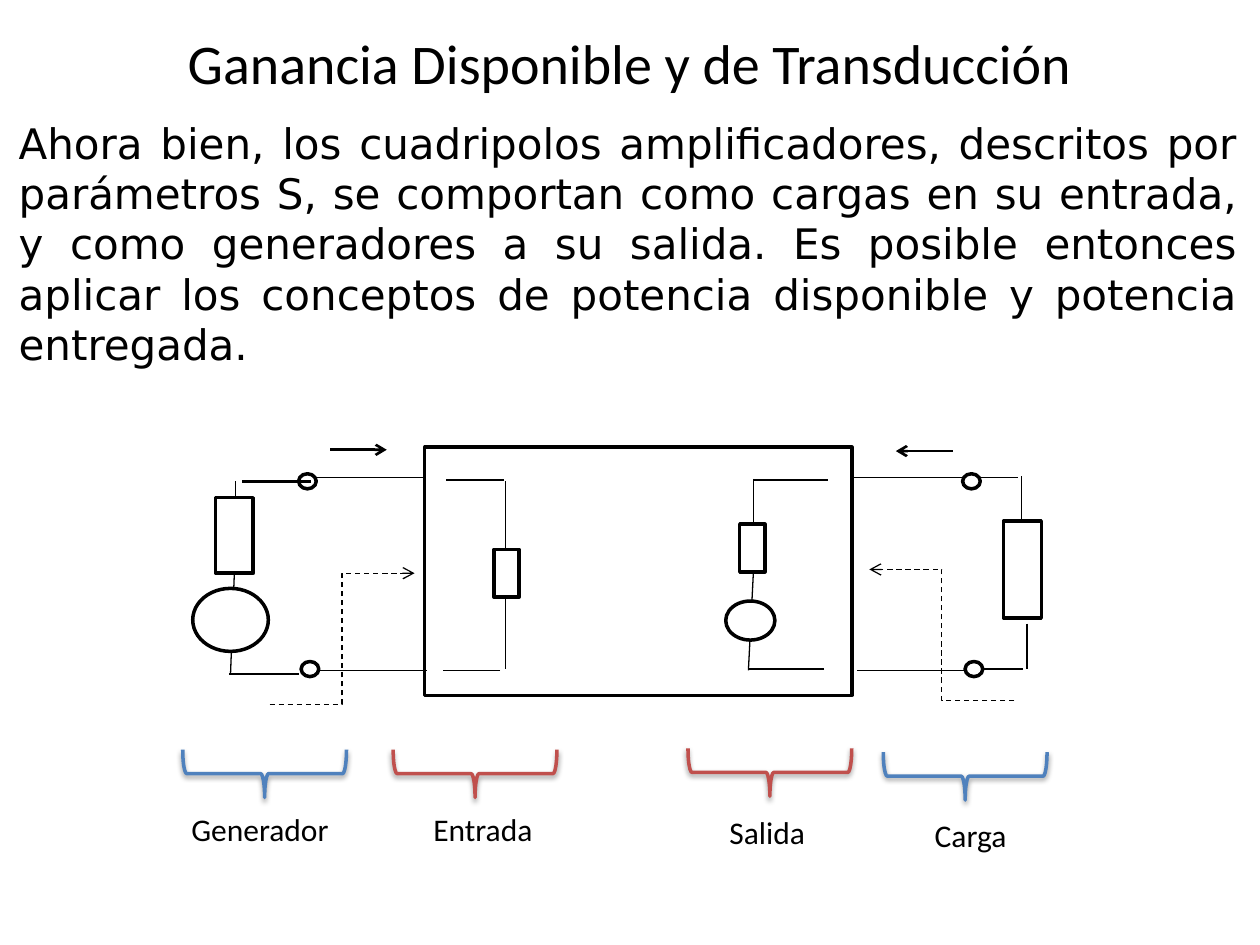
from lxml.etree import SubElement
from pptx import Presentation
from pptx.dml.color import RGBColor
from pptx.enum.dml import MSO_LINE
from pptx.enum.shapes import MSO_CONNECTOR, MSO_SHAPE
from pptx.enum.text import MSO_ANCHOR, PP_ALIGN
from pptx.oxml.ns import qn
from pptx.util import Inches, Pt

BLACK = RGBColor(0x00, 0x00, 0x00)
WHITE = RGBColor(0xFF, 0xFF, 0xFF)
BLUE = RGBColor(0x4F, 0x81, 0xBD)
RED = RGBColor(0xC0, 0x50, 0x4D)

TITLE = "Ganancia Disponible y de Transducción"
BODY = (
    "Ahora bien, los cuadripolos amplificadores, descritos por parámetros S, "
    "se comportan como cargas en su entrada, y como generadores a su salida. "
    "Es posible entonces aplicar los conceptos de potencia disponible y "
    "potencia entregada."
)

QUADRIPOLE = (3.37, 3.55, 3.39, 1.97)
WIRES = [
    (7.72, 3.79, 8.08, 3.79),
    (8.11, 3.78, 8.11, 4.14),
    (8.15, 4.95, 8.15, 5.31),
    (7.76, 5.31, 8.12, 5.31),
    (2.43, 3.79, 3.37, 3.79),
    (2.45, 5.32, 3.39, 5.32),
    (7.72, 3.79, 6.78, 3.79),
    (7.74, 5.32, 6.8, 5.32),
    (1.87, 3.82, 1.87, 4.18),
    (1.86, 4.55, 1.83, 5.34),
    (5.98, 4.53, 5.94, 5.32),
    (6.54, 5.31, 5.94, 5.31),
    (6.57, 3.81, 5.98, 3.81),
    (5.98, 3.8, 5.98, 4.16),
    (4.01, 3.82, 4.01, 5.31),
    (4, 3.81, 3.54, 3.81),
    (3.97, 5.32, 3.52, 5.32),
]
TERMINALS = [(2.37, 3.76), (2.39, 5.25), (7.64, 3.76), (7.66, 5.25)]
SOURCES = [(1.53, 4.67, 0.6, 0.5), (5.76, 4.77, 0.39, 0.31)]
IMPEDANCES = [
    (1.56, 4.1, 0.6, 0.3, 90),
    (5.78, 4.25, 0.38, 0.2, 90),
    (3.83, 4.45, 0.38, 0.2, 90),
    (7.73, 4.37, 0.77, 0.3, 270),
]
THICK_LEADS = [(2.37, 5.35, 1.82, 5.35), (2.47, 3.82, 1.92, 3.82)]
WAVE_ARROWS = [(7.56, 3.58, 7.11, 3.58), (2.62, 3.57, 3.07, 3.57)]
VIEW_ARROWS = [(2.14, 5.59, 3.29, 4.55), (8.05, 5.56, 6.9, 4.52)]
SECTIONS = [
    ("Generador", BLUE, 1.91, 5.49, 1.42, 6.38),
    ("Entrada", RED, 3.58, 5.49, 3.34, 6.38),
    ("Salida", RED, 5.92, 5.48, 5.69, 6.4),
    ("Carga", BLUE, 7.47, 5.51, 7.32, 6.43),
]


def add_text(slide, text, box, size, font="Calibri", align=PP_ALIGN.LEFT,
             anchor=MSO_ANCHOR.TOP):
    frame = slide.shapes.add_textbox(*map(Inches, box)).text_frame
    frame.word_wrap = True
    frame.vertical_anchor = anchor
    paragraph = frame.paragraphs[0]
    paragraph.alignment = align
    run = paragraph.add_run()
    run.text = text
    run.font.size = Pt(size)
    run.font.name = font
    run.font.color.rgb = BLACK


def add_part(slide, preset, box, rotation=0):
    part = slide.shapes.add_shape(preset, *map(Inches, box))
    part.shadow.inherit = False
    part.rotation = rotation
    part.fill.solid()
    part.fill.fore_color.rgb = WHITE
    part.line.color.rgb = BLACK
    part.line.width = Pt(2)
    return part


def add_wire(slide, ends, width=0.75, kind=MSO_CONNECTOR.STRAIGHT,
             dashed=False, arrow=False):
    wire = slide.shapes.add_connector(kind, *map(Inches, ends))
    wire.line.color.rgb = BLACK
    wire.line.width = Pt(width)
    if dashed:
        wire.line.dash_style = MSO_LINE.DASH
    if arrow:
        SubElement(wire.line._get_or_add_ln(), qn("a:tailEnd"), type="arrow")
    SubElement(wire._element.spPr, qn("a:effectLst"))


def add_brace(slide, left, top, color):
    brace = add_part(slide, MSO_SHAPE.RIGHT_BRACE, (left, top, 0.38, 1.3), 90)
    brace.fill.background()
    brace.line.color.rgb = color
    effects = brace._element.spPr.find(qn("a:effectLst"))
    shadow = SubElement(effects, qn("a:outerShdw"), blurRad=str(Pt(3.1)),
                        dist=str(Pt(1.6)), dir="5400000", rotWithShape="0")
    tint = SubElement(shadow, qn("a:srgbClr"), val=str(BLACK))
    SubElement(tint, qn("a:alpha"), val="38000")


def add_circuit(slide):
    add_part(slide, MSO_SHAPE.RECTANGLE, QUADRIPOLE)
    for ends in WIRES:
        add_wire(slide, ends)
    for left, top in TERMINALS:
        add_part(slide, MSO_SHAPE.OVAL, (left, top, 0.14, 0.12))
    for *box, rotation in IMPEDANCES:
        add_part(slide, MSO_SHAPE.RECTANGLE, box, rotation)
    for ends in THICK_LEADS:
        add_wire(slide, ends, width=1.5)
    for box in SOURCES:
        add_part(slide, MSO_SHAPE.OVAL, box)
    for ends in WAVE_ARROWS:
        add_wire(slide, ends, width=1.5, arrow=True)
    for ends in VIEW_ARROWS:
        add_wire(slide, ends, kind=MSO_CONNECTOR.ELBOW, dashed=True, arrow=True)


def main():
    deck = Presentation()
    deck.slide_width = Inches(10)
    deck.slide_height = Inches(7.5)
    slide = deck.slides.add_slide(deck.slide_layouts[6])
    add_text(slide, TITLE, (0, 0.09, 10, 0.8), 32, align=PP_ALIGN.CENTER,
             anchor=MSO_ANCHOR.MIDDLE)
    add_text(slide, BODY, (0.05, 0.88, 9.87, 2.2), 24, font="DejaVu Sans",
             align=PP_ALIGN.JUSTIFY)
    add_circuit(slide)
    for name, color, brace_left, brace_top, label_left, label_top in SECTIONS:
        add_brace(slide, brace_left, brace_top, color)
        add_text(slide, name, (label_left, label_top, 1.32, 0.4), 18)
    deck.save("out.pptx")


if __name__ == "__main__":
    main()
